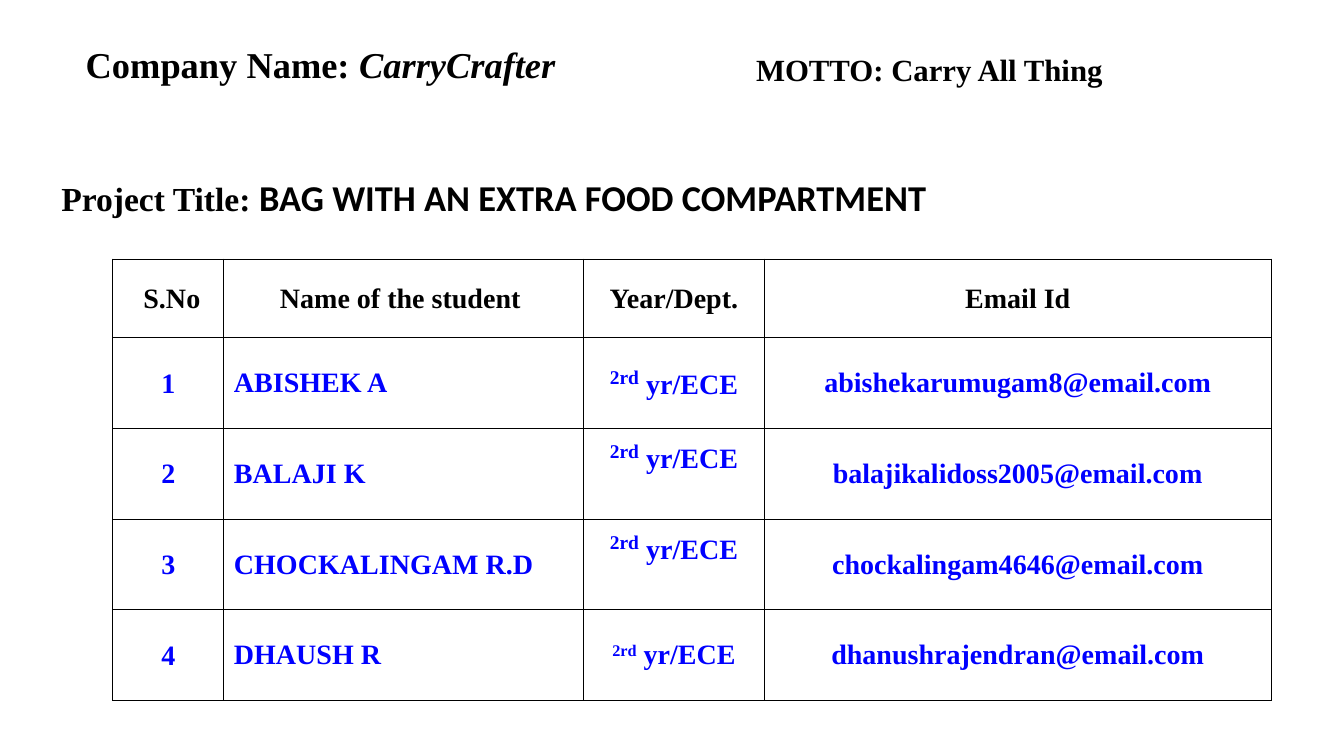
from lxml import etree
from pptx import Presentation
from pptx.dml.color import RGBColor
from pptx.enum.text import MSO_ANCHOR, MSO_AUTO_SIZE, PP_ALIGN
from pptx.oxml.ns import qn
from pptx.util import Inches, Pt

LEFT, CENTER = PP_ALIGN.LEFT, PP_ALIGN.CENTER
TOP, MIDDLE = MSO_ANCHOR.TOP, MSO_ANCHOR.MIDDLE
NO_FIT = MSO_AUTO_SIZE.NONE
TITLE_ONLY = 5

SERIF, SANS = "Times New Roman", "Calibri"
BLACK, BLUE, WHITE = "000000", "0000FF", "FFFFFF"

COMPANY = [("Company Name: ", {"size": 26}), ("CarryCrafter", {"size": 26, "italic": True})]
MOTTO = [("MOTTO: Carry All Thing", {"size": 22})]
PROJECT = [
    ("Project Title: ", {"size": 24}),
    ("BAG WITH AN EXTRA FOOD COMPARTMENT", {"size": 26, "font": SANS}),
]
HEADINGS = [" S.No", "Name of the student ", "Year/Dept.", "Email Id"]
STUDENTS = [
    {"name": "ABISHEK A", "email": "abishekarumugam8@email.com", "year_size": 24, "bottom": 0.05},
    {"name": "BALAJI K", "email": "balajikalidoss2005@email.com", "year_size": 24, "bottom": 0.37},
    {"name": "CHOCKALINGAM R.D", "email": "chockalingam4646@email.com", "year_size": 24, "bottom": 0.37},
    {"name": "DHAUSH R", "email": "dhanushrajendran@email.com", "year_size": 20, "bottom": 0.05},
]
COLUMN_WIDTHS = [1.1, 3.57, 1.79, 5.03]
HEADING_HEIGHT, STUDENT_HEIGHT = 0.78, 0.9
TABLE_LEFT, TABLE_TOP = 1.12, 2.57
TIGHT = (0.01, 0.01, 0.01, 0)
ROOMY = (0.1, 0.05, 0.1, 0.05)


def rgb(value):
    return RGBColor.from_string(value)


def set_margins(target, margins):
    left, top, right, bottom = map(Inches, margins)
    target.margin_left, target.margin_top = left, top
    target.margin_right, target.margin_bottom = right, bottom


def add_run(paragraph, text, size=20, font=SERIF, color=BLACK, italic=False, superscript=False):
    run = paragraph.add_run()
    run.text = text
    run.font.size = Pt(size)
    run.font.name = font
    run.font.bold = True
    run.font.italic = italic
    run.font.color.rgb = rgb(color)
    if superscript:
        run._r.get_or_add_rPr().set("baseline", "30000")


def write_runs(paragraph, runs, alignment):
    paragraph.alignment = alignment
    for text, style in runs:
        add_run(paragraph, text, **style)


def fill_text_shape(shape, box, runs):
    shape.left, shape.top, shape.width, shape.height = map(Inches, box)
    frame = shape.text_frame
    frame.auto_size = NO_FIT
    frame.word_wrap = True
    frame.vertical_anchor = TOP
    set_margins(frame, ROOMY)
    write_runs(frame.paragraphs[0], runs, LEFT)


def add_borders(cell):
    properties = cell._tc.get_or_add_tcPr()
    for side in ("lnL", "lnR", "lnT", "lnB"):
        line = etree.SubElement(properties, qn(f"a:{side}"), w=str(Pt(0.75)))
        fill = etree.SubElement(line, qn("a:solidFill"))
        etree.SubElement(fill, qn("a:srgbClr"), val=BLACK)


def fill_cell(cell, runs, alignment, margins):
    add_borders(cell)
    cell.fill.solid()
    cell.fill.fore_color.rgb = rgb(WHITE)
    cell.vertical_anchor = MIDDLE
    set_margins(cell, margins)
    write_runs(cell.text_frame.paragraphs[0], runs, alignment)


def student_cells(number, student):
    blue = {"color": BLUE}
    year = [
        ("2rd", {"color": BLUE, "size": student["year_size"], "superscript": True}),
        (" yr/ECE", blue),
    ]
    return [
        ([(str(number), blue)], CENTER, TIGHT),
        ([(student["name"], blue)], LEFT, ROOMY),
        (year, CENTER, ROOMY[:3] + (student["bottom"],)),
        ([(student["email"], blue)], CENTER, ROOMY),
    ]


def add_student_table(slide):
    rows = [[([(heading, {})], CENTER, TIGHT) for heading in HEADINGS]]
    rows += [student_cells(number, student) for number, student in enumerate(STUDENTS, 1)]
    heights = [HEADING_HEIGHT] + [STUDENT_HEIGHT] * len(STUDENTS)
    box = map(Inches, (TABLE_LEFT, TABLE_TOP, sum(COLUMN_WIDTHS), sum(heights)))
    table = slide.shapes.add_table(len(rows), len(HEADINGS), *box).table
    table.first_row = False
    table.horz_banding = False
    for column, width in zip(table.columns, COLUMN_WIDTHS):
        column.width = Inches(width)
    for row, height, contents in zip(table.rows, heights, rows):
        row.height = Inches(height)
        for cell, content in zip(row.cells, contents):
            fill_cell(cell, *content)


def main():
    presentation = Presentation()
    presentation.slide_width = Inches(13.33)
    presentation.slide_height = Inches(7.5)
    slide = presentation.slides.add_slide(presentation.slide_layouts[TITLE_ONLY])
    add_student_table(slide)
    fill_text_shape(slide.shapes.title, (0.75, 0.37, 8.21, 0.97), COMPANY)
    for box, runs in [((7.4, 0.45, 5.55, 0.89), MOTTO), ((0.51, 1.69, 9.36, 0.54), PROJECT)]:
        fill_text_shape(slide.shapes.add_textbox(*map(Inches, box)), box, runs)
    presentation.save("out.pptx")


if __name__ == "__main__":
    main()
